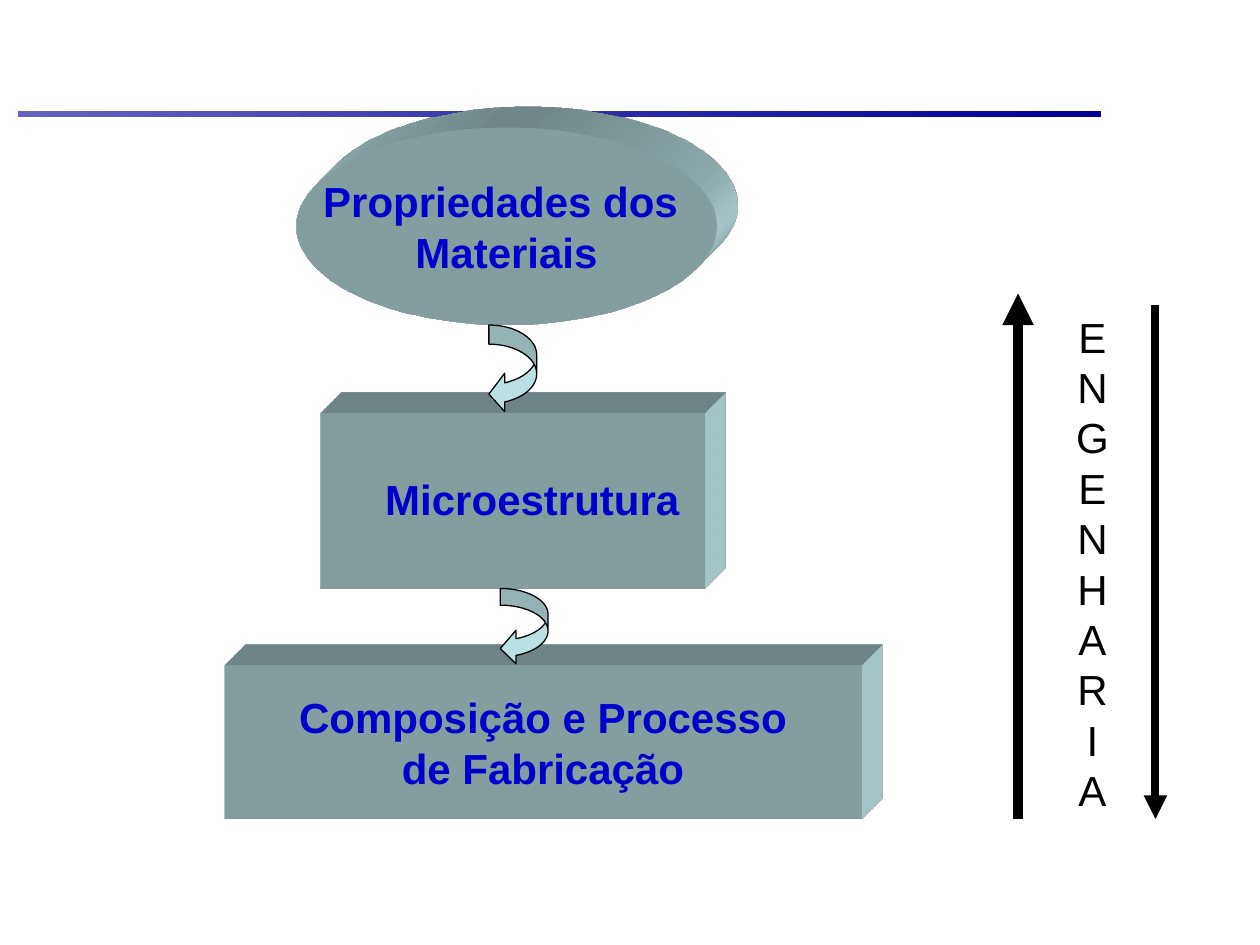
from dataclasses import dataclass

from lxml import etree
from pptx import Presentation
from pptx import util as u
from pptx.dml import color
from pptx.enum import shapes, text
from pptx.oxml import parse_xml
from pptx.oxml import ns


@dataclass(frozen=True)
class Theme:
    font: str = "Arial"
    size: int = 24
    label: str = "0000CC"
    ink: str = "000000"
    block: str = "BBE0E3"
    rule_start: str = "6464BF"
    rule_end: str = "000096"


THEME = Theme()


def rgb(value):
    return color.RGBColor.from_string(value)


def inches(values):
    return [u.Inches(value) for value in values]


def write(shape, lines, ink, bold=False, wrap=False):
    """Fill a shape with centred lines, one paragraph each."""
    frame = shape.text_frame
    frame.word_wrap = wrap
    for index, line in enumerate(lines):
        paragraph = frame.add_paragraph() if index else frame.paragraphs[0]
        paragraph.alignment = text.PP_ALIGN.CENTER
        run = paragraph.add_run()
        run.text = line
        run.font.name = THEME.font
        run.font.size = u.Pt(THEME.size)
        run.font.bold = bold
        run.font.color.rgb = rgb(ink)


def add_plain(slide, kind, box):
    shape = slide.shapes.add_shape(kind, *inches(box))
    shape.shadow.inherit = False
    shape.fill.solid()
    shape.fill.fore_color.rgb = rgb(THEME.block)
    shape.line.fill.background()
    return shape


def add_rule(slide, box):
    rule = add_plain(slide, shapes.MSO_SHAPE.RECTANGLE, box)
    rule.fill.gradient()
    rule.fill.gradient_angle = 0
    for stop, value in zip(rule.fill.gradient_stops, (THEME.rule_start, THEME.rule_end)):
        stop.color.rgb = rgb(value)


def add_block(slide, kind, box, lines=()):
    """Add a solid block extruded up and to the right."""
    block = add_plain(slide, kind, box)
    properties = block._element.spPr
    properties.append(parse_xml(
        f'<a:scene3d {ns.nsdecls("a")}><a:camera prst="legacyObliqueTopRight"/>'
        '<a:lightRig rig="legacyFlat3" dir="b"/></a:scene3d>'))
    properties.append(parse_xml(
        f'<a:sp3d {ns.nsdecls("a")} extrusionH="430200" prstMaterial="legacyMatte">'
        '<a:bevelT w="13500" h="13500" prst="angle"/>'
        '<a:bevelB w="13500" h="13500" prst="angle"/>'
        f'<a:extrusionClr><a:srgbClr val="{THEME.block}"/></a:extrusionClr></a:sp3d>'))
    if lines:
        block.text_frame.vertical_anchor = text.MSO_ANCHOR.MIDDLE
        write(block, lines, THEME.label, bold=True)


def add_curved_arrow(slide, box, thickness):
    arrow = add_plain(slide, shapes.MSO_SHAPE.CURVED_LEFT_ARROW, box)
    for index, value in enumerate((thickness, 2 * thickness, 0.33)):
        arrow.adjustments[index] = value
    arrow.line.color.rgb = rgb(THEME.ink)
    arrow.line.width = u.Pt(0.75)


def add_label(slide, box, line, **style):
    label = slide.shapes.add_textbox(*inches(box))
    label.text_frame.auto_size = text.MSO_AUTO_SIZE.SHAPE_TO_FIT_TEXT
    write(label, [line], **style)


def add_arrow(slide, x, start, end, width):
    """Add a vertical arrow with its head at the end."""
    arrow = slide.shapes.add_connector(
        shapes.MSO_CONNECTOR.STRAIGHT, *inches((x, start, x, end)))
    arrow.line.color.rgb = rgb(THEME.ink)
    arrow.line.width = u.Pt(width)
    etree.SubElement(arrow.line._get_or_add_ln(), ns.qn("a:tailEnd"), type="triangle")
    etree.SubElement(arrow._element.spPr, ns.qn("a:effectLst"))


def main():
    presentation = Presentation()
    presentation.slide_width, presentation.slide_height = inches((10, 7.5))
    slide = presentation.slides.add_slide(presentation.slide_layouts[6])
    preset = shapes.MSO_SHAPE

    # Header rule
    add_rule(slide, (0.14, 0.88, 8.6, 0.05))

    # Three levels, from properties down to processing
    add_block(slide, preset.OVAL, (2.35, 1.01, 3.34, 1.57),
              ["Propriedades dos ", "Materiais"])
    add_block(slide, preset.RECTANGLE, (2.54, 3.28, 3.05, 1.39))
    add_block(slide, preset.RECTANGLE, (1.78, 5.28, 5.06, 1.22),
              ["Composição e Processo", "de Fabricação"])

    # Curved arrows between the levels
    add_curved_arrow(slide, (3.88, 2.58, 0.38, 0.7), 0.4)
    add_curved_arrow(slide, (3.97, 4.67, 0.38, 0.61), 0.35)
    add_label(slide, (2.76, 3.71, 2.93, 0.53), "Microestrutura",
              ink=THEME.label, bold=True)

    # Engineering column, narrow enough to stack its letters
    add_arrow(slide, 8.08, 6.5, 2.33, 6)
    add_label(slide, (8.42, 2.42, 0.5, 4.09), "ENGENHAR I A",
              ink=THEME.ink, wrap=True)
    add_arrow(slide, 9.17, 2.42, 6.5, 4.5)

    presentation.save("out.pptx")


if __name__ == "__main__":
    main()
